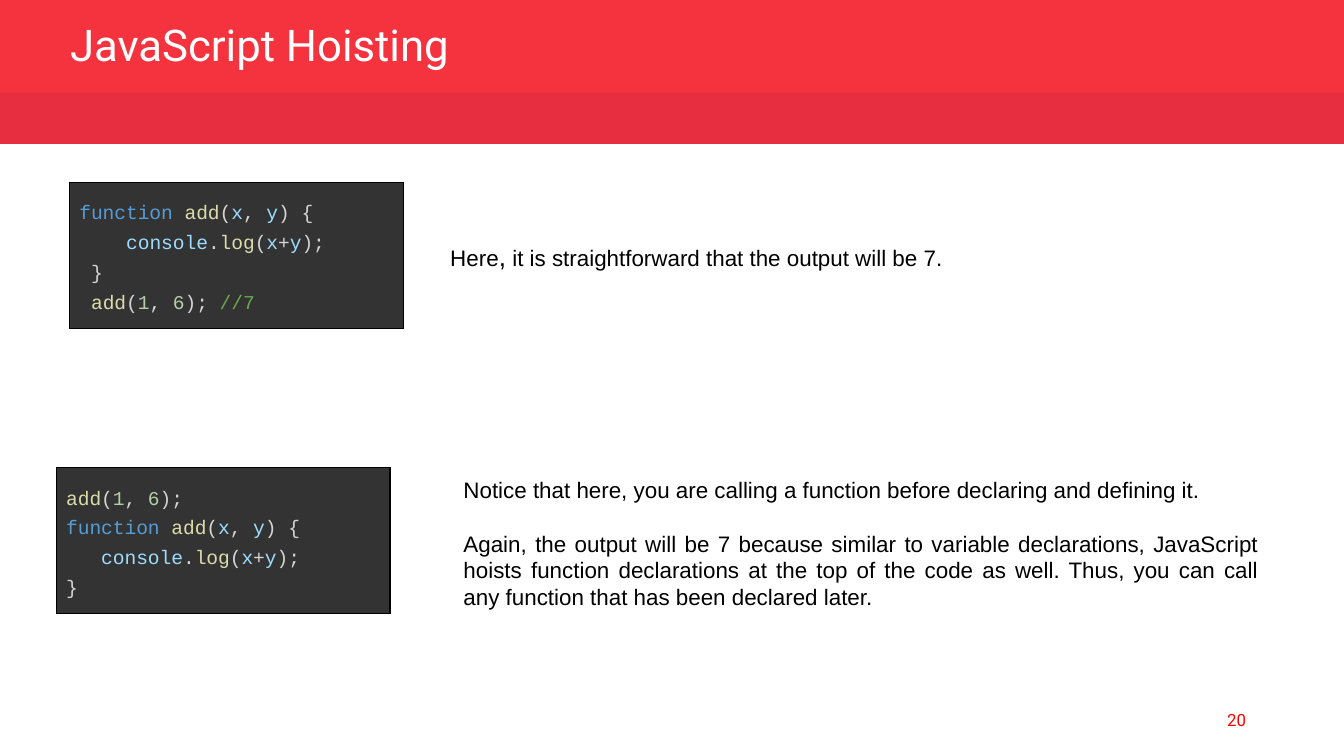
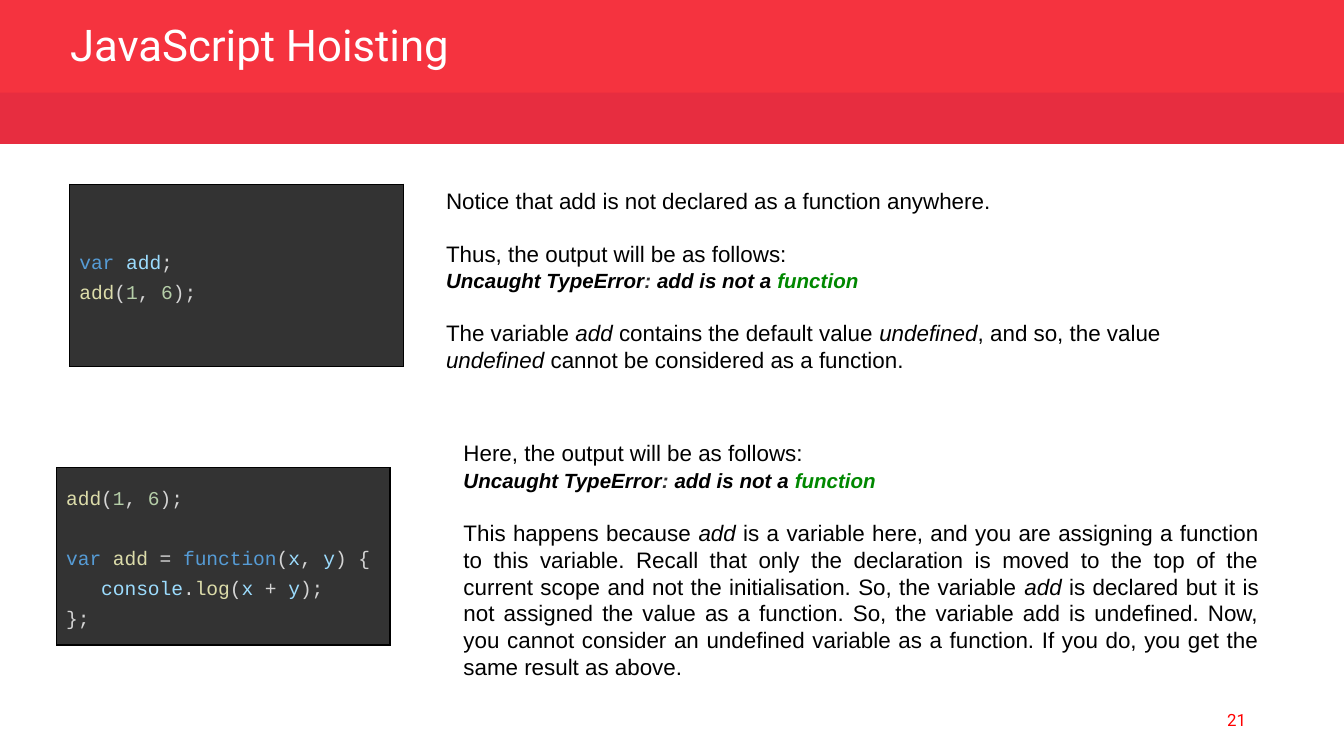
from lxml.etree import SubElement
from pptx import Presentation
from pptx.dml.color import RGBColor
from pptx.enum.shapes import MSO_SHAPE
from pptx.enum.text import MSO_ANCHOR, MSO_AUTO_SIZE, PP_ALIGN
from pptx.oxml.ns import qn
from pptx.util import Cm, Pt

HEADER_RED = RGBColor(0xF5, 0x33, 0x3F)
BAND_RED = RGBColor(0xE7, 0x2D, 0x40)
NUMBER_RED = RGBColor(0xFF, 0x00, 0x00)
WHITE = RGBColor(0xFF, 0xFF, 0xFF)
BLACK = RGBColor(0x00, 0x00, 0x00)
GREY = RGBColor(0x33, 0x33, 0x33)
GREEN = RGBColor(0x00, 0x88, 0x00)
KEYWORD = RGBColor(0x56, 0x9C, 0xD6)
FUNCTION = RGBColor(0xDC, 0xDC, 0xAA)
VARIABLE = RGBColor(0x9C, 0xDC, 0xFE)
PLAIN = RGBColor(0xD4, 0xD4, 0xD4)
NUMBER = RGBColor(0xB5, 0xCE, 0xA8)
COMMENT = RGBColor(0x6A, 0xA8, 0x4F)

ADD_CALL = [("add", FUNCTION), ("(", PLAIN), ("1", NUMBER), (", ", PLAIN), ("6", NUMBER), (");", PLAIN)]
PARAMETERS = [("(", PLAIN), ("x", VARIABLE), (", ", PLAIN), ("y", VARIABLE), (") {", PLAIN)]
DECLARATION = [("function ", KEYWORD), ("add", FUNCTION)] + PARAMETERS
LOG = [("console", VARIABLE), (".", PLAIN), ("log", FUNCTION), ("(", PLAIN), ("x", VARIABLE)]
LOG_SUM = LOG + [("+", PLAIN), ("y", VARIABLE), (");", PLAIN)]
LOG_SPACED_SUM = LOG + [(" + ", PLAIN), ("y", VARIABLE), (");", PLAIN)]
ERROR = [
    ("Uncaught TypeError", BLACK), (":", GREY), (" add is not a ", BLACK), ("function", GREEN),
    (" ", BLACK, None, 12),
]

LEFT = PP_ALIGN.LEFT
JUSTIFY = PP_ALIGN.JUSTIFY
TITLE = "JavaScript Hoisting"

SLIDES = [
    {
        "number": "20",
        "code": [
            (1.32, 3.45, 2.76, [
                (DECLARATION, 0),
                ([("    ", PLAIN)] + LOG_SUM, 0),
                ([(" }", PLAIN)], 0),
                ([(" ", PLAIN)] + ADD_CALL + [(" ", PLAIN), ("//7", COMMENT)], 0),
            ]),
            (1.07, 8.84, 2.76, [
                (ADD_CALL, 0),
                (DECLARATION, 0),
                ([("   ", PLAIN)] + LOG_SUM, 0),
                ([("}", PLAIN)], 0),
            ]),
        ],
        "text": [
            (8.26, 4.29, 15.29, 1.12, LEFT, [
                ([("Here", BLACK), (",", BLACK, None, 14),
                  (" it is straightforward that the output will be 7.", BLACK)], 0),
            ]),
            (8.51, 8.76, 15.54, 3, JUSTIFY, [
                ([("Notice that here, you are calling a function before declaring and defining it.", BLACK)], 0),
                ([("Again, the output will be 7 because similar to variable declarations, JavaScript hoists "
                   "function declarations at the top of the code as well. Thus, you can call any function "
                   "that has been declared later.", BLACK)], 14),
            ]),
        ],
    },
    {
        "number": "21",
        "code": [
            (1.32, 3.48, 3.45, [
                ([("var ", KEYWORD), ("add", VARIABLE), (";", PLAIN)], 0),
                (ADD_CALL, 0),
            ]),
            (1.07, 8.84, 3.35, [
                (ADD_CALL, 0),
                ([("var ", KEYWORD), ("add", FUNCTION), (" = ", PLAIN), ("function", KEYWORD)] + PARAMETERS, 16),
                ([("   ", PLAIN)] + LOG_SPACED_SUM, 0),
                ([("};", PLAIN)], 0),
            ]),
        ],
        "text": [
            (8.18, 3.28, 15.29, 3.66, LEFT, [
                ([("Notice that add is not declared as a function anywhere.", BLACK)], 0),
                ([("Thus, the output will be as follows:", BLACK)], 14),
                (ERROR, 0),
                ([("The variable ", BLACK), ("add", BLACK, True), (" contains the default value ", BLACK),
                  ("undefined", BLACK, True), (", and so, the value ", BLACK), ("undefined", BLACK, True),
                  (" cannot be considered as a function.", BLACK)], 14),
            ]),
            (8.51, 8.05, 15.54, 5.18, JUSTIFY, [
                ([("Here, the output will be as follows:", BLACK)], 0),
                (ERROR, 0),
                ([("This happens because ", BLACK), ("add", BLACK, True),
                  (" is a variable here, and you are assigning a function to this variable. Recall that only "
                   "the declaration is moved to the top of the current scope and not the initialisation. "
                   "So, the variable ", BLACK),
                  ("add", BLACK, True),
                  (" is declared but it is not assigned the value as a function. So, the variable add is "
                   "undefined. Now, you cannot consider an undefined variable as a function. If you do, you "
                   "get the same result as above.", BLACK)], 14),
            ]),
        ],
    },
]


def add_band(slide, top, height, color):
    band = slide.shapes.add_shape(MSO_SHAPE.RECTANGLE, 0, Cm(top), Cm(25.4), Cm(height))
    band.shadow.inherit = False
    band.fill.solid()
    band.fill.fore_color.rgb = color
    band.line.fill.background()
    return band


def write_paragraphs(frame, lines, font_name, size):
    for index, (runs, space_before) in enumerate(lines):
        paragraph = frame.paragraphs[0] if index == 0 else frame.add_paragraph()
        paragraph.space_before = Pt(space_before)
        paragraph.font.name = font_name
        paragraph.font.size = Pt(size)
        for text, color, *style in runs:
            run = paragraph.add_run()
            run.text = text
            run.font.color.rgb = color
            if style:
                run.font.italic = style[0]
            if len(style) > 1:
                run.font.size = Pt(style[1])
        if runs is ERROR:
            paragraph.font.size = Pt(11)
            paragraph.font.bold = True
            paragraph.font.italic = True


presentation = Presentation()
presentation.slide_width = Cm(25.4)
presentation.slide_height = Cm(14.29)
layout = presentation.slide_layouts[5]

for position, content in enumerate(SLIDES):
    slide = presentation.slides.add_slide(layout)
    if position == 0:
        header = add_band(slide, 0, 1.78, HEADER_RED)
        layout.shapes.element.insert(2, header.element)
    add_band(slide, 1.75, 0.97, BAND_RED)

    title = slide.shapes.title
    title.left, title.top, title.width, title.height = Cm(1.07), Cm(0.36), Cm(11.91), Cm(1.12)
    title.text_frame.auto_size = MSO_AUTO_SIZE.NONE
    title.text_frame.vertical_anchor = MSO_ANCHOR.MIDDLE
    title.text_frame.text = TITLE
    paragraph = title.text_frame.paragraphs[0]
    paragraph.alignment = LEFT
    paragraph.line_spacing = 0.8
    paragraph.font.name = "Roboto"
    paragraph.font.size = Pt(23.4)
    paragraph.font.color.rgb = WHITE

    for left, top, height, lines in content["code"]:
        table = slide.shapes.add_table(1, 1, Cm(left), Cm(top), Cm(6.3), Cm(height)).table
        table.first_row = False
        table.horz_banding = False
        cell = table.cell(0, 0)
        cell.vertical_anchor = MSO_ANCHOR.MIDDLE
        cell.margin_left = cell.margin_right = cell.margin_top = cell.margin_bottom = Cm(0.18)
        properties = cell._tc.get_or_add_tcPr()
        for side in ("a:lnL", "a:lnR", "a:lnT", "a:lnB"):
            border = SubElement(properties, qn(side), w=str(Pt(0.75)))
            fill = SubElement(border, qn("a:solidFill"))
            SubElement(fill, qn("a:srgbClr"), val=str(BLACK))
        cell.fill.solid()
        cell.fill.fore_color.rgb = GREY
        write_paragraphs(cell.text_frame, lines, "Courier New", 10.5)
        for paragraph in cell.text_frame.paragraphs:
            paragraph.line_spacing = 1.36

    for left, top, width, height, alignment, lines in content["text"]:
        frame = slide.shapes.add_textbox(Cm(left), Cm(top), Cm(width), Cm(height)).text_frame
        frame.word_wrap = True
        frame.margin_left = frame.margin_right = frame.margin_top = frame.margin_bottom = Cm(0.25)
        write_paragraphs(frame, lines, "Arial", 12)
        for paragraph in frame.paragraphs:
            paragraph.alignment = alignment

    frame = slide.shapes.add_textbox(Cm(18.08), Cm(13.23), Cm(5.72), Cm(0.76)).text_frame
    frame.word_wrap = True
    frame.vertical_anchor = MSO_ANCHOR.MIDDLE
    write_paragraphs(frame, [([(content["number"], NUMBER_RED)], 0)], "Roboto", 9)
    frame.paragraphs[0].alignment = PP_ALIGN.RIGHT

presentation.save("out.pptx")
